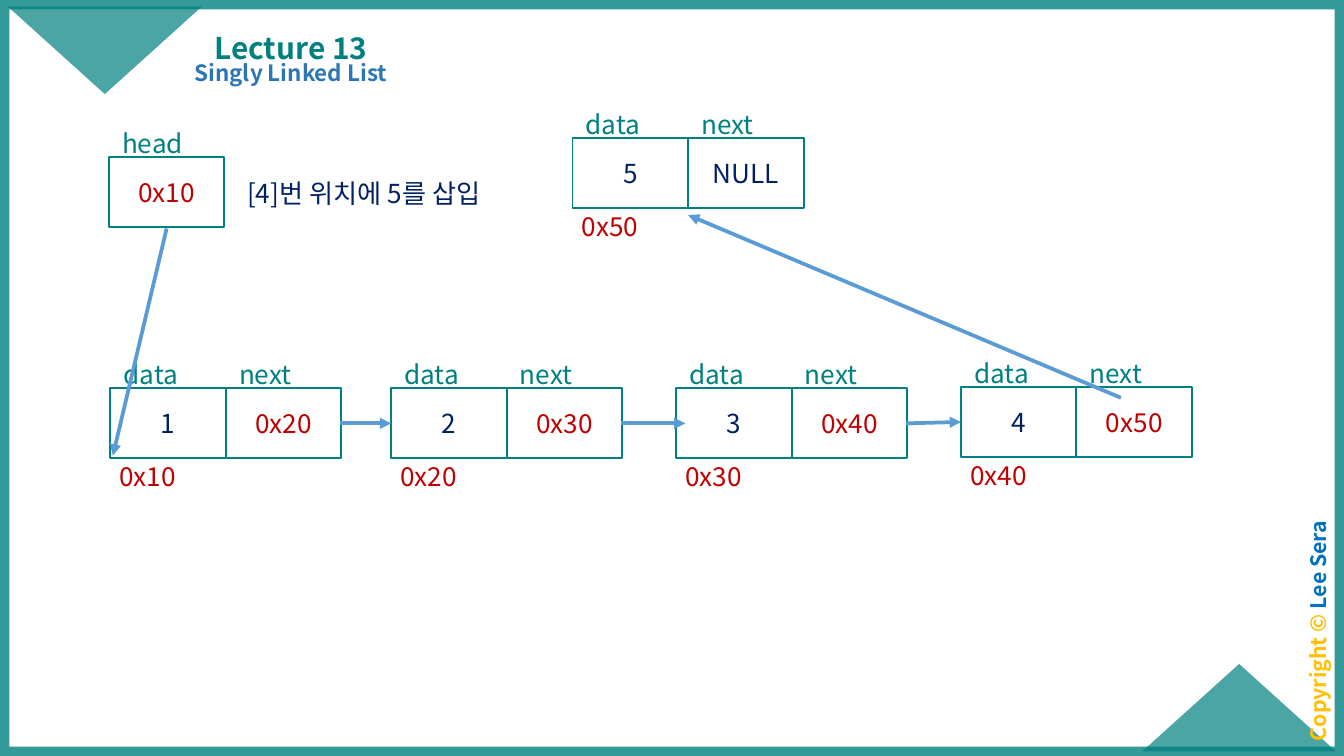
from dataclasses import dataclass
from lxml.etree import SubElement
from pptx import Presentation
from pptx.dml.color import RGBColor
from pptx.enum.shapes import MSO_CONNECTOR, MSO_SHAPE
from pptx.enum.text import MSO_ANCHOR, MSO_AUTO_SIZE, PP_ALIGN
from pptx.oxml.ns import qn
from pptx.util import Inches, Pt

FONT = "Noto Sans CJK KR"
TEAL, NAVY, RED, BLUE = "008080", "002060", "C00000", "5B9BD5"
BOX_W, BOX_H = 0.86, 0.52
LABEL_W, LABEL_H = 1.19, 0.34


@dataclass
class Node:
    x: float
    y: float
    data: str
    next: str
    address: str
    next_color: str = RED


@dataclass
class Arrow:
    x1: float
    y1: float
    x2: float
    y2: float


NODES = [
    Node(0.82, 2.89, "1", "0x20", "0x10"),
    Node(2.91, 2.89, "2", "0x30", "0x20"),
    Node(5.03, 2.89, "3", "0x40", "0x30"),
    Node(7.15, 2.88, "4", "0x50", "0x40"),
    Node(4.26, 1.03, "5", "NULL", "0x50", NAVY),
]
ARROWS = [
    Arrow(2.53, 3.15, 2.91, 3.15),
    Arrow(4.62, 3.15, 5.1, 3.15),
    Arrow(6.74, 3.15, 7.15, 3.14),
    Arrow(1.24, 1.7, 0.84, 3.39),
    Arrow(8.34, 2.96, 5.12, 1.6),
]


def paint(fmt, color: str, alpha: int = 100) -> None:
    """Give a fill a solid colour, see-through below 100 percent."""
    fmt.solid()
    fmt.fore_color.rgb = RGBColor.from_string(color)
    if alpha < 100:
        clr = fmt._xPr.find(qn("a:solidFill"))[0]
        SubElement(clr, qn("a:alpha"), val=str(alpha * 1000))


def add_run(p, text: str, color: str, size: float = 14, bold: bool = False) -> None:
    r = p.add_run()
    r.text = text
    r.font.name, r.font.size, r.font.bold = FONT, Pt(size), bold
    paint(r.font.fill, color)
    SubElement(r.font._element, qn("a:ea"), typeface=FONT)


def place(sp, x: float, y: float, w: float, h: float) -> None:
    sp.left, sp.top, sp.width, sp.height = map(Inches, (x, y, w, h))


def setup_heading(sp, spacing: float, before: float, anchor: MSO_ANCHOR):
    """Format a centred heading with tight insets; return its paragraph."""
    tf = sp.text_frame
    tf.word_wrap, tf.auto_size = True, MSO_AUTO_SIZE.NONE
    tf.vertical_anchor = anchor
    tf.margin_left = tf.margin_right = Inches(0.07)
    tf.margin_top = tf.margin_bottom = Inches(0.04)
    p = tf.paragraphs[0]
    p.alignment, p.line_spacing, p.space_before = PP_ALIGN.CENTER, spacing, Pt(before)
    return p


def add_label(shapes, x: float, y: float, text: str, color: str, w: float = LABEL_W) -> None:
    tf = shapes.add_textbox(*map(Inches, (x, y, w, LABEL_H))).text_frame
    tf.word_wrap = True
    add_run(tf.paragraphs[0], text, color)


def add_box(shapes, x: float, y: float, text: str, color: str) -> None:
    sp = shapes.add_shape(MSO_SHAPE.RECTANGLE, *map(Inches, (x, y, BOX_W, BOX_H)))
    sp.shadow.inherit = False
    sp.fill.background()
    paint(sp.line.fill, TEAL)
    sp.line.width = Pt(1)
    sp.text_frame.vertical_anchor = MSO_ANCHOR.MIDDLE
    p = sp.text_frame.paragraphs[0]
    p.alignment = PP_ALIGN.CENTER
    add_run(p, text, color)


def add_node(shapes, n: Node) -> None:
    group = shapes.add_group_shape().shapes
    cells = (("data", n.data, NAVY), ("next", n.next, n.next_color))
    for i, (label, value, color) in enumerate(cells):
        x = n.x + i * BOX_W
        add_box(group, x, n.y, value, color)
        add_label(group, x, n.y - 0.27, label, TEAL)
    add_label(group, n.x - 0.03, n.y + 0.49, n.address, RED)


def add_arrow(shapes, a: Arrow) -> None:
    c = shapes.add_connector(MSO_CONNECTOR.STRAIGHT, *map(Inches, (a.x1, a.y1, a.x2, a.y2)))
    paint(c.line.fill, BLUE)
    c.line.width = Pt(2)
    SubElement(c.line._get_or_add_ln(), qn("a:tailEnd"), type="triangle")
    SubElement(c._element.spPr, qn("a:effectLst"))


def add_triangle(shapes, x: float, y: float, rotation: int) -> None:
    sp = shapes.add_shape(MSO_SHAPE.ISOSCELES_TRIANGLE, *map(Inches, (x, y, 1.44, 0.65)))
    sp.shadow.inherit = False
    sp.rotation = rotation
    paint(sp.fill, TEAL, 70)
    sp.line.fill.background()


# Widescreen page, 16:9
prs = Presentation()
prs.slide_width = Inches(10)
prs.slide_height = Inches(10 * 9 / 16)
slide = prs.slides.add_slide(prs.slide_layouts[0])
shapes = slide.shapes

# Frame and corners
frame = shapes.add_shape(MSO_SHAPE.RECTANGLE, 0, 0, prs.slide_width, prs.slide_height)
frame.shadow.inherit = False
frame.fill.background()
paint(frame.line.fill, TEAL, 80)
frame.line.width = Pt(10)
add_triangle(shapes, 8.5, 4.94, 0)
add_triangle(shapes, 0.06, 0.05, 180)

# Copyright up the right edge
sp = shapes.add_textbox(*map(Inches, (8.92, 4.57, 1.86, 0.25)))
sp.rotation = 270
p = setup_heading(sp, 0.7, 10, MSO_ANCHOR.TOP)
add_run(p, "Copyright © ", "FFC000", 11.4, True)
add_run(p, "Lee Sera", "0070C0", 11.4, True)

# Title and subtitle
title, subtitle = shapes.title, slide.placeholders[1]
place(title, 1.4, 0.06, 1.53, 0.47)
add_run(setup_heading(title, 0.9, 0, MSO_ANCHOR.BOTTOM), "Lecture 13", TEAL, 16, True)
place(subtitle, 1.1, 0.42, 2.13, 0.34)
add_run(setup_heading(subtitle, 0.9, 7.5, MSO_ANCHOR.TOP),
        "Singly Linked List", "2E75B6", 12, True)

# Head pointer and task
head = shapes.add_group_shape().shapes
add_box(head, 0.81, 1.17, "0x10", RED)
add_label(head, 0.81, 0.9, "head", TEAL)
add_label(shapes, 1.74, 1.27, "[4]번 위치에 5를 삽입", NAVY, 3.35)

# Linked list
for node in NODES:
    add_node(shapes, node)
for arrow in ARROWS:
    add_arrow(shapes, arrow)

prs.save("out.pptx")
